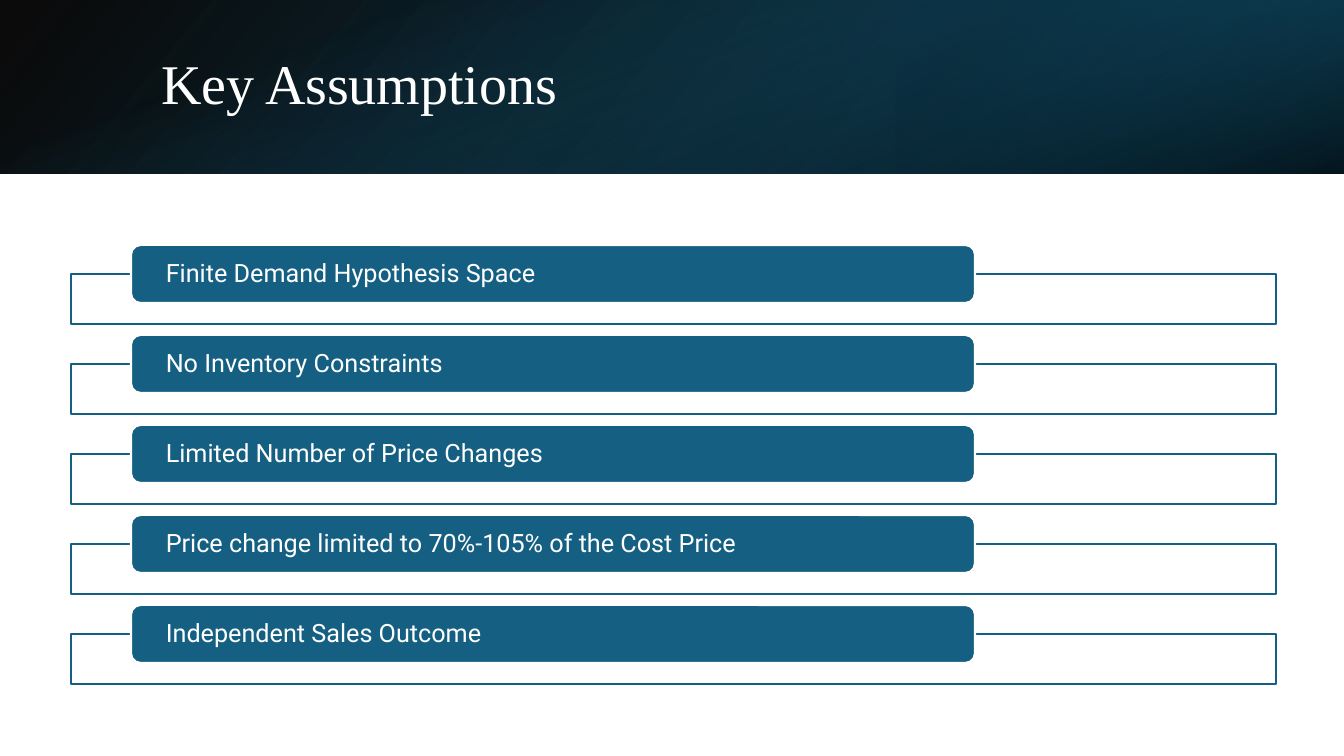
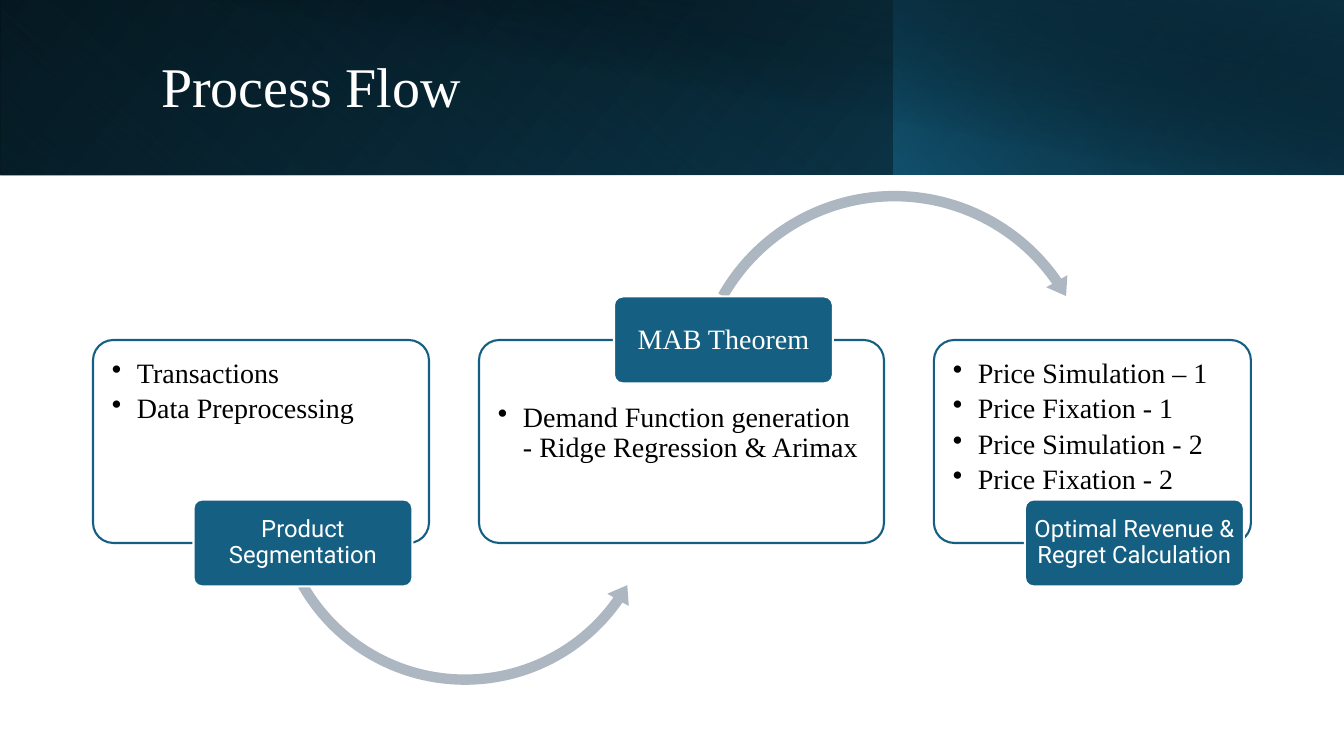
from dataclasses import dataclass

import pptx
import pptx.dml.color
import pptx.enum.shapes
import pptx.enum.text
import pptx.oxml
import pptx.oxml.ns
import pptx.util
from lxml import etree

SHAPE = pptx.enum.shapes.MSO_SHAPE
ALIGN = pptx.enum.text.PP_ALIGN
ANCHOR = pptx.enum.text.MSO_ANCHOR
EMU_PER_PX = 914400 / 100.8
WIDTH, HEIGHT = 1344, 756


@dataclass(frozen=True)
class Theme:
    white: str = "FFFFFF"
    black: str = "000000"
    teal: str = "156082"
    deep: str = "104862"
    navy: str = "0B3041"
    arrow: str = "ACB7C1"
    serif: str = "Times New Roman"
    sans: str = "Roboto"
    title_size: int = 40
    body_size: int = 20
    bar_size: int = 18
    label_size: int = 17
    outline: float = 1.5
    line_spacing: float = 0.9
    bullet_gap: float = 3.8


T = Theme()
TITLE = {"name": T.serif, "size": T.title_size, "color": T.white}
BODY = {"name": T.serif, "size": T.body_size, "color": T.black}
BAR = {"name": T.sans, "size": T.bar_size, "color": T.white}
LABEL = {"name": T.sans, "size": T.label_size, "color": T.white}
SERIF_LABEL = {"name": T.serif, "size": T.body_size, "color": T.white}

ASSUMPTIONS = [
    "Finite Demand Hypothesis Space",
    "No Inventory Constraints",
    "Limited Number of Price Changes",
    "Price change limited to 70%-105% of the Cost Price",
    "Independent Sales Outcome",
]

STEPS = [
    {
        "width": 336,
        "items": ["Transactions", "Data Preprocessing"],
        "label": "Product Segmentation",
        "style": LABEL,
        "on_top": False,
        "arrow": (SHAPE.LEFT_CIRCULAR_ARROW, (173, -46, 398), (2.6, 5.34, 34.93, 150.41, 3.1)),
    },
    {
        "width": 405,
        "items": ["Demand Function generation - Ridge Regression & Arimax"],
        "label": "MAB Theorem",
        "style": SERIF_LABEL,
        "on_top": True,
        "arrow": (SHAPE.CIRCULAR_ARROW, (592, -156, 419), (2.5, 5.06, 325.35, 209.59, 2.9)),
    },
    {
        "width": 317,
        "items": [
            "Price Simulation – 1",
            "Price Fixation - 1",
            "Price Simulation - 2",
            "Price Fixation - 2",
        ],
        "label": "Optimal Revenue & Regret Calculation",
        "style": LABEL,
        "on_top": False,
        "arrow": None,
    },
]

ASSUMPTION_BANDS = [
    {"box": (0, 0, WIDTH, 174), "flip": True, "angle": 140,
     "stops": [(0, T.black, 96), (100, T.deep, 100)]},
    {"box": (896, 0, 448, 174), "flip": True, "rotation": 180, "angle": 320,
     "stops": [(19, T.navy, 68), (100, T.teal, 79)]},
    {"box": (0, 0, WIDTH, 174), "rotation": 90, "angle": 340,
     "stops": [(23, T.teal, 0), (99, T.black, 74)]},
]

PROCESS_BANDS = [
    {"box": (0, 0, WIDTH, 175), "flip": True, "angle": 140,
     "stops": [(0, T.black, 100), (100, T.deep, 100)]},
    {"box": (0, 0, 895, 175), "flip": True, "rotation": 180, "angle": 230,
     "stops": [(20, T.teal, 0), (100, T.navy, 55)]},
    {"box": (894, 0, 450, 175), "flip": True, "angle": 220,
     "stops": [(0, T.teal, 66), (100, T.black, 30)]},
    {"box": (50, 0, 1294, 176), "angle": 280,
     "stops": [(50, T.black, 0), (99, T.navy, 52)]},
]


def px(n):
    return pptx.util.Emu(round(n * EMU_PER_PX))


def rgb(color):
    return pptx.dml.color.RGBColor.from_string(color)


def apply(target, values):
    for key, value in values.items():
        setattr(target, key, value)


def add_shape(slide, kind, box, fill=None, line=None, adjust=()):
    sp = slide.shapes.add_shape(kind, *map(px, box))
    sp.shadow.inherit = False
    if fill:
        sp.fill.solid()
        sp.fill.fore_color.rgb = rgb(fill)
    if line:
        sp.line.color.rgb = rgb(line)
        sp.line.width = pptx.util.Pt(T.outline)
    else:
        sp.line.fill.background()
    for i, value in enumerate(adjust):
        sp.adjustments[i] = value
    return sp


def add_bullet(p):
    pPr = p._p.get_or_add_pPr()
    pPr.set("marL", str(px(25)))
    pPr.set("indent", str(-px(25)))
    bullet = etree.SubElement(pPr, pptx.oxml.ns.qn("a:buChar"))
    bullet.set("char", "•")


def write(sp, lines, style, margins, align=ALIGN.LEFT, anchor=ANCHOR.MIDDLE, bullets=False):
    tf = sp.text_frame
    left, top, right, bottom = map(px, margins)
    apply(tf, {
        "word_wrap": True,
        "auto_size": pptx.enum.text.MSO_AUTO_SIZE.NONE,
        "vertical_anchor": anchor,
        "margin_left": left,
        "margin_top": top,
        "margin_right": right,
        "margin_bottom": bottom,
    })
    for i, line in enumerate(lines):
        p = tf.add_paragraph() if i else tf.paragraphs[0]
        if bullets:
            add_bullet(p)
        apply(p, {
            "alignment": align,
            "line_spacing": T.line_spacing,
            "space_after": pptx.util.Pt(T.bullet_gap if bullets else 0),
        })
        r = p.add_run()
        r.text = line
        apply(r.font, {"name": style["name"], "size": pptx.util.Pt(style["size"])})
        r.font.color.rgb = rgb(style["color"])


def set_gradient(sp, stops, angle):
    spPr = sp.element.spPr
    gs = "".join(
        f'<a:gs pos="{pos * 1000}"><a:srgbClr val="{color}">'
        f'<a:alpha val="{alpha * 1000}"/></a:srgbClr></a:gs>'
        for pos, color, alpha in stops
    )
    grad = pptx.oxml.parse_xml(
        f'<a:gradFill {pptx.oxml.ns.nsdecls("a")} rotWithShape="1"><a:gsLst>{gs}</a:gsLst>'
        f'<a:lin ang="{angle * 60000}" scaled="0"/></a:gradFill>'
    )
    spPr.find(pptx.oxml.ns.qn("a:prstGeom")).addnext(grad)


def add_band(slide, box, stops, angle, rotation=0, flip=False):
    x, y, w, h = box
    if rotation == 90:
        x, y, w, h = x + (w - h) / 2, y + (h - w) / 2, h, w
    sp = add_shape(slide, SHAPE.RECTANGLE, (x, y, w, h))
    set_gradient(sp, stops, angle)
    sp.rotation = rotation
    if flip:
        sp.element.spPr.get_or_add_xfrm().set("flipH", "1")


def add_header(prs, title, box, bands):
    slide = prs.slides.add_slide(prs.slide_layouts[5])
    for band in bands:
        add_band(slide, **band)
    sp = slide.shapes.title
    sp.element.getparent().append(sp.element)
    apply(sp, dict(zip(("left", "top", "width", "height"), map(px, box))))
    write(sp, [title], TITLE, (10, 5, 10, 5))
    return slide


def add_assumption_list(slide, box, items):
    x, y, w, h = box
    tile_h, label_w, label_h, rise = 50, 844, 58, 29
    pitch = (h - tile_h - rise) / (len(items) - 1)
    for i, item in enumerate(items):
        top = y + i * pitch
        add_shape(slide, SHAPE.RECTANGLE, (x, top + rise, w, tile_h), T.white, T.teal)
        label = add_shape(slide, SHAPE.ROUNDED_RECTANGLE, (x + 60, top, label_w, label_h),
                          T.teal, T.white)
        write(label, [item], BAR, (32, 0, 32, 0))


def add_process_step(slide, box, step, flow_origin):
    x, y, w, h = box
    label_w, label_h, shift = 219, 87, 42
    card = add_shape(slide, SHAPE.ROUNDED_RECTANGLE, box, T.white, T.teal, [0.1])
    text_top = 57 if step["on_top"] else 13
    write(card, step["items"], BODY, (13, text_top, 13, 13), anchor=ANCHOR.TOP, bullets=True)
    if step["arrow"]:
        kind, (dx, dy, side), (thick, head, end, start, spread) = step["arrow"]
        adjust = [thick / 100, head * 0.6, end * 0.6, start * 0.6, spread / 100]
        place = (flow_origin[0] + dx, flow_origin[1] + dy, side, side)
        add_shape(slide, kind, place, T.arrow, adjust=adjust)
    edge = y if step["on_top"] else y + h
    place = (x + (w - label_w) / 2 + shift, edge - label_h / 2, label_w, label_h)
    label = add_shape(slide, SHAPE.ROUNDED_RECTANGLE, place, T.teal, T.white, [0.1])
    write(label, [step["label"]], step["style"], (4, 2, 4, 2), ALIGN.CENTER)


def add_process_flow(slide, box, steps):
    x, y, w, h = box
    gap = (w - sum(step["width"] for step in steps)) / (len(steps) - 1)
    left = x
    for step in steps:
        add_process_step(slide, (left, y, step["width"], h), step, (x, y))
        left += step["width"] + gap


def main():
    prs = pptx.Presentation()
    apply(prs, {"slide_width": px(WIDTH), "slide_height": px(HEIGHT)})
    slide = add_header(prs, "Key Assumptions", (151, 38, 1106, 97), ASSUMPTION_BANDS)
    add_assumption_list(slide, (71, 245, 1205, 439), ASSUMPTIONS)
    slide = add_header(prs, "Process Flow", (151, 32, 1091, 114), PROCESS_BANDS)
    add_process_flow(slide, (93, 340, 1158, 203), STEPS)
    prs.save("out.pptx")


if __name__ == "__main__":
    main()
